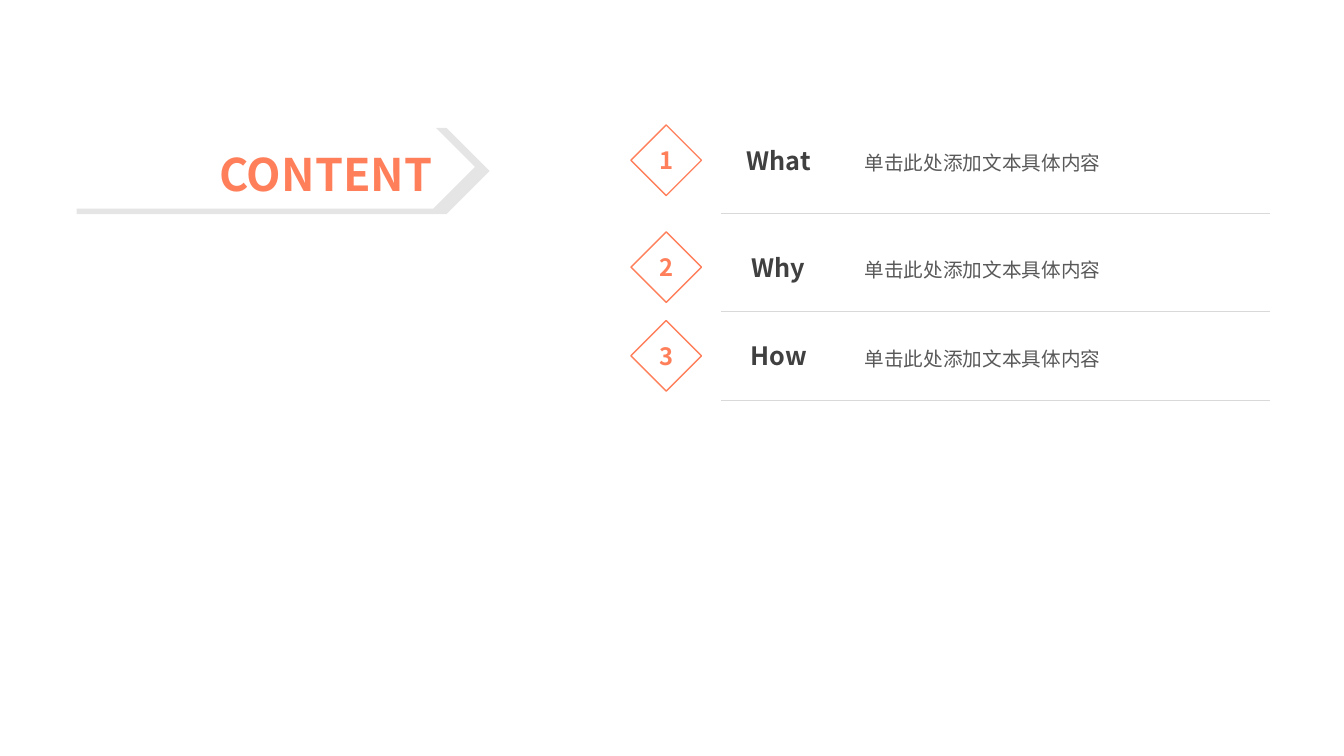
from lxml.etree import SubElement
from pptx import Presentation
from pptx.dml.color import RGBColor
from pptx.enum.shapes import MSO_CONNECTOR, MSO_SHAPE
from pptx.enum.text import MSO_ANCHOR, MSO_AUTO_SIZE, PP_ALIGN
from pptx.oxml import parse_xml
from pptx.oxml.ns import nsdecls, qn
from pptx.util import Pt

WHITE = RGBColor(0xFF, 0xFF, 0xFF)
CORAL = RGBColor(0xFF, 0x7F, 0x5B)
DARK = RGBColor(0x40, 0x40, 0x40)
GREY = RGBColor(0x59, 0x59, 0x59)
RULE = RGBColor(0xD9, 0xD9, 0xD9)
FONT = "Noto Sans CJK SC"
HINT = "单击此处添加文本具体内容"
ROWS = [("What", 89.28, 152.64), ("Why", 165.6, 222.48), ("How", 228.96, 285.84)]
DIAMOND = 50.4
LABEL_HEIGHT = 30.24
SHADOW = (
    f'<a:effectLst {nsdecls("a")}><a:outerShdw blurRad="0" dist="38100" dir="2700000" '
    'sx="103000" sy="103000" algn="tl" rotWithShape="0"><a:srgbClr val="000000">'
    '<a:alpha val="10000"/></a:srgbClr></a:outerShdw></a:effectLst>'
)


class ContentPage:
    """Holds the page and draws its elements in one style, measured in points."""

    def __init__(self, deck):
        self.page = deck.slides.add_slide(deck.slide_layouts[5])
        self.shapes = self.page.shapes

    def set_text(self, shape, text, size, color, align, bold=True, anchor=MSO_ANCHOR.MIDDLE):
        frame = shape.text_frame
        frame.text = text
        frame.word_wrap = True
        frame.vertical_anchor = anchor
        para = frame.paragraphs[0]
        para.alignment = align
        span = para.runs[0]
        span.font.size = Pt(size)
        span.font.bold = bold
        span.font.color.rgb = color
        span.font.name = FONT
        SubElement(span._r.get_or_add_rPr(), qn("a:ea")).set("typeface", FONT)
        return para

    def shape(self, kind, left, top, width, height):
        shape = self.shapes.add_shape(kind, Pt(left), Pt(top), Pt(width), Pt(height))
        shape.fill.solid()
        shape.fill.fore_color.rgb = WHITE
        return shape

    def title(self, text, left, top, width, height):
        title = self.shapes.title
        title.left, title.top = Pt(left), Pt(top)
        title.width, title.height = Pt(width), Pt(height)
        self.set_text(title, text, 32, CORAL, PP_ALIGN.RIGHT, anchor=MSO_ANCHOR.TOP)
        title.text_frame.auto_size = MSO_AUTO_SIZE.SHAPE_TO_FIT_TEXT

    def plate(self, left, top, width, height):
        plate = self.shape(MSO_SHAPE.PENTAGON, left, top, width, height)
        plate.line.fill.background()
        plate.element.spPr.append(parse_xml(SHADOW))
        self.shapes.title.element.addprevious(plate.element)

    def diamond(self, number, left, top):
        diamond = self.shape(MSO_SHAPE.DIAMOND, left, top, DIAMOND, DIAMOND)
        diamond.shadow.inherit = False
        diamond.line.color.rgb = CORAL
        diamond.line.width = Pt(1)
        frame = diamond.text_frame
        frame.margin_left = frame.margin_right = frame.margin_top = frame.margin_bottom = 0
        self.set_text(diamond, str(number), 17, CORAL, PP_ALIGN.CENTER)

    def label(self, text, left, top, width, size, color, align, bold):
        box = self.shapes.add_textbox(Pt(left), Pt(top), Pt(width), Pt(LABEL_HEIGHT))
        return self.set_text(box, text, size, color, align, bold)

    def rule(self, left, right, top):
        rule = self.shapes.add_connector(
            MSO_CONNECTOR.STRAIGHT, Pt(left), Pt(top), Pt(right), Pt(top))
        rule.line.color.rgb = RULE
        rule.line.width = Pt(0.25)
        SubElement(rule.element.spPr, qn("a:effectLst"))

    def row(self, number, name, top, rule_top):
        label_top = top + (DIAMOND - LABEL_HEIGHT) / 2
        self.diamond(number, 450.72, top)
        hint = self.label(HINT, 610.56, label_top, 296.64, 14, GREY, PP_ALIGN.LEFT, False)
        hint.line_spacing = 1.2
        self.label(name, 501.12, label_top, 110.16, 18, DARK, PP_ALIGN.CENTER, True)
        self.rule(514.8, 907.2, rule_top)


def main():
    deck = Presentation()
    deck.slide_width, deck.slide_height = Pt(960), Pt(540)
    content = ContentPage(deck)
    content.title("CONTENT", 99.36, 101.52, 216.72, 46.08)
    content.plate(52.56, 89.28, 286.56, 59.76)
    for number, (name, top, rule_top) in enumerate(ROWS, 1):
        content.row(number, name, top, rule_top)
    deck.save("out.pptx")


if __name__ == "__main__":
    main()
